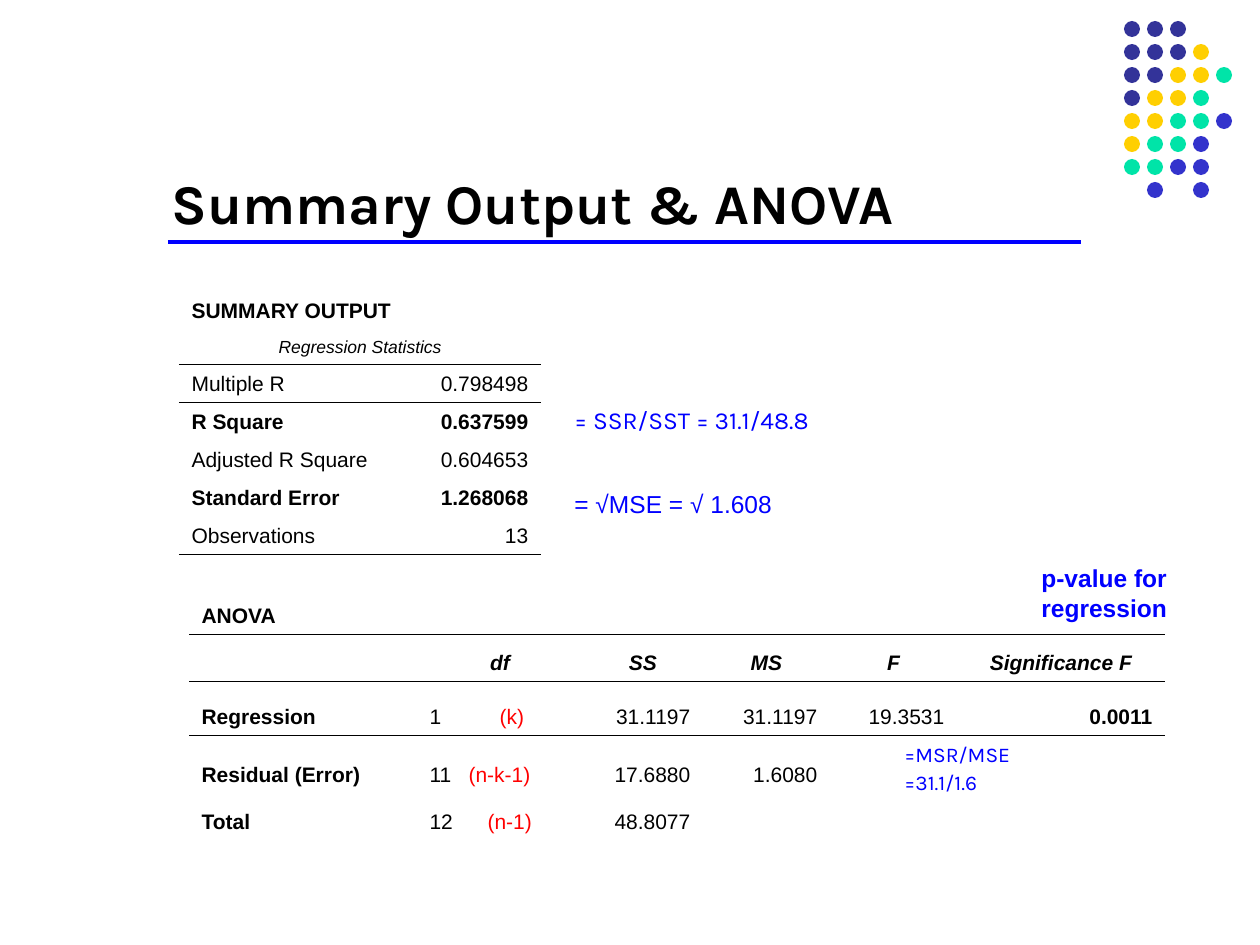
from dataclasses import dataclass

import lxml.etree
import pptx
import pptx.dml.color
import pptx.enum.shapes
import pptx.enum.text
import pptx.oxml.ns
import pptx.util

EMU_PER_PX = 914400 / 126
ALIGN = pptx.enum.text.PP_ALIGN
NO_STYLE_TABLE = "{2D5ABB26-0587-4C30-8999-92F81FD0307C}"


@dataclass(frozen=True)
class Theme:
    ink: str = "000000"
    accent: str = "0000FF"
    formula: str = "FF0000"
    navy: str = "333399"
    yellow: str = "FFCF01"
    green: str = "00E4A8"
    blue: str = "3333CC"
    body_font: str = "Arial"
    display_font: str = "Karla"
    title_size: int = 32
    note_size: int = 14
    body_size: int = 12
    caption_size: int = 10
    cell_rule: float = 0.45
    title_rule: float = 2.25


THEME = Theme()


@dataclass(frozen=True)
class Cell:
    text: str = ""
    align: ALIGN = ALIGN.LEFT
    bold: bool = False
    italic: bool = False
    size: int = THEME.body_size
    formula: str = ""
    formula_offset: int = 0


@dataclass(frozen=True)
class Grid:
    left: int
    top: int
    columns: tuple[int, ...]
    heights: tuple[int, ...]
    ruled_rows: tuple[int, ...]  # rows with a line beneath
    cells: list[list[Cell]]


@dataclass(frozen=True)
class Note:
    left: int
    top: int
    width: int
    height: int
    lines: tuple[str, ...]
    font: str = THEME.body_font
    size: int = THEME.note_size
    bold: bool = False
    wrap: bool = False
    gap: int = 0


def px(length: int) -> int:
    return round(length * EMU_PER_PX)


def rgb(color: str) -> pptx.dml.color.RGBColor:
    return pptx.dml.color.RGBColor.from_string(color)


def add_text(paragraph, text: str, *, size: int = THEME.body_size,
             font: str = THEME.body_font, color: str = THEME.ink,
             bold: bool = False, italic: bool = False, align=ALIGN.LEFT) -> None:
    paragraph.alignment = align
    run = paragraph.add_run()
    run.text = text
    run.font.size = pptx.util.Pt(size)
    run.font.name = font
    run.font.color.rgb = rgb(color)
    run.font.bold = bold
    run.font.italic = italic


def add_child(parent, tag: str, **attributes: str):
    return lxml.etree.SubElement(parent, pptx.oxml.ns.qn(tag), **attributes)


def add_dots(slide, pattern: tuple[str, ...]) -> None:
    left, top, pitch, diameter = 1124, 21, 23, 16
    colors = {"n": THEME.navy, "y": THEME.yellow, "g": THEME.green, "b": THEME.blue}
    for row, line in enumerate(pattern):
        for column, key in enumerate(line):
            if key not in colors:
                continue
            dot = slide.shapes.add_shape(
                pptx.enum.shapes.MSO_SHAPE.OVAL, px(left + column * pitch),
                px(top + row * pitch), px(diameter), px(diameter))
            dot.shadow.inherit = False
            dot.fill.solid()
            dot.fill.fore_color.rgb = rgb(colors[key])
            dot.line.fill.background()


def add_title(slide, text: str) -> None:
    rule = slide.shapes.add_connector(
        pptx.enum.shapes.MSO_CONNECTOR.STRAIGHT, px(168), px(242), px(1081), px(242))
    rule.line.color.rgb = rgb(THEME.accent)
    rule.line.width = pptx.util.Pt(THEME.title_rule)
    add_child(rule._element.spPr, "a:effectLst")
    title = slide.shapes.title
    title.left, title.top, title.width, title.height = px(159), px(84), px(1074), px(158)
    title.text_frame.vertical_anchor = pptx.enum.text.MSO_ANCHOR.BOTTOM
    title.text_frame.auto_size = pptx.enum.text.MSO_AUTO_SIZE.NONE
    add_text(title.text_frame.paragraphs[0], text, size=THEME.title_size,
             font=THEME.display_font, bold=True)


def add_border(cell, tag: str) -> None:
    line = add_child(cell._tc.get_or_add_tcPr(), tag,
                     w=str(pptx.util.Pt(THEME.cell_rule)))
    add_child(add_child(line, "a:solidFill"), "a:srgbClr", val=THEME.ink)


def fill_cell(cell, content: Cell) -> None:
    cell.vertical_anchor = pptx.enum.text.MSO_ANCHOR.BOTTOM
    paragraph = cell.text_frame.paragraphs[0]
    if not content.text:
        # An empty cell must not stretch its row.
        add_child(paragraph._p, "a:endParaRPr", sz=str(content.size * 100))
        return
    add_text(paragraph, content.text, size=content.size, bold=content.bold,
             italic=content.italic, align=content.align)
    if content.formula:
        add_text(paragraph, "\t" + content.formula, color=THEME.formula)
        stops = add_child(paragraph._p.get_or_add_pPr(), "a:tabLst")
        add_child(stops, "a:tab", pos=str(px(content.formula_offset)), algn="l")


def add_grid(slide, grid: Grid):
    table = slide.shapes.add_table(
        len(grid.heights), len(grid.columns), px(grid.left), px(grid.top),
        px(sum(grid.columns)), px(sum(grid.heights))).table
    table.first_row = table.horz_banding = False
    table._tbl.tblPr.find(pptx.oxml.ns.qn("a:tableStyleId")).text = NO_STYLE_TABLE
    for column, width in zip(table.columns, grid.columns):
        column.width = px(width)
    for row, height in enumerate(grid.heights):
        table.rows[row].height = px(height)
        for column in range(len(grid.columns)):
            cell = table.cell(row, column)
            contents = grid.cells[row]
            fill_cell(cell, contents[column] if column < len(contents) else Cell())
            if row - 1 in grid.ruled_rows:
                add_border(cell, "a:lnT")
            if row in grid.ruled_rows:
                add_border(cell, "a:lnB")
            cell.fill.background()
    return table


def add_note(slide, note: Note) -> None:
    frame = slide.shapes.add_textbox(
        px(note.left), px(note.top), px(note.width), px(note.height)).text_frame
    frame.word_wrap = note.wrap
    frame.auto_size = pptx.enum.text.MSO_AUTO_SIZE.SHAPE_TO_FIT_TEXT
    for index, line in enumerate(note.lines):
        paragraph = frame.add_paragraph() if index else frame.paragraphs[0]
        paragraph.space_before = pptx.util.Pt(note.gap if index else 0)
        add_text(paragraph, line, size=note.size, font=note.font,
                 color=THEME.accent, bold=note.bold)


def statistic(label: str, value: str, bold: bool = False) -> list[Cell]:
    return [Cell(label, bold=bold), Cell(value, ALIGN.RIGHT, bold)]


def source(label: str, df: str, formula: str, offset: int, *values: str) -> list[Cell]:
    return [Cell(label, bold=True), Cell(df, formula=formula, formula_offset=offset),
            *(Cell(value, ALIGN.RIGHT) for value in values)]


DOTS = ("nnn", "nnny", "nnyyg", "nyyg", "yyggb", "yggb", "ggbb", ".b.b")
SUMMARY = Grid(179, 262, (231, 131), (67, 35, 38, 38, 38, 38, 38), (1, 6), [
    [Cell("SUMMARY OUTPUT", bold=True)],
    [Cell("Regression Statistics", ALIGN.CENTER, italic=True, size=THEME.caption_size)],
    statistic("Multiple R", "0.798498"),
    statistic("R Square", "0.637599", bold=True),
    statistic("Adjusted R Square", "0.604653"),
    statistic("Standard Error", "1.268068", bold=True),
    statistic("Observations", "13"),
])
ANOVA = Grid(189, 546, (228, 166, 120, 127, 127, 208), (88, 47, 54, 58, 47), (0, 1), [
    [Cell("ANOVA", bold=True)],
    [Cell()] + [Cell(heading, ALIGN.CENTER, True, True)
                for heading in ("df", "SS", "MS", "F", "Significance F")],
    source("Regression", "1", "(k)", 70, "31.1197", "31.1197", "19.3531")
    + [Cell("0.0011", ALIGN.RIGHT, True)],
    source("Residual (Error)", "11", "(n-k-1)", 39, "17.6880", "1.6080"),
    source("Total", "12", "(n-1)", 58, "48.8077"),
])
NOTES = (
    Note(562, 399, 271, 43, ("= SSR/SST = 31.1/48.8",), THEME.display_font),
    Note(562, 483, 223, 43, ("= √MSE = √ 1.608",)),
    Note(892, 735, 147, 68, ("=MSR/MSE", "=31.1/1.6"), THEME.display_font,
         THEME.body_size, wrap=True, gap=2),
    Note(1029, 557, 180, 72, ("p-value for", "regression"), bold=True, wrap=True),
)


def main() -> None:
    presentation = pptx.Presentation()
    presentation.slide_width, presentation.slide_height = px(1260), px(945)
    slide = presentation.slides.add_slide(presentation.slide_layouts[5])
    # Decoration and title
    add_dots(slide, DOTS)
    add_title(slide, "Summary Output & ANOVA")
    # Regression tables
    summary = add_grid(slide, SUMMARY)
    summary.cell(1, 0).merge(summary.cell(1, 1))
    add_grid(slide, ANOVA)
    # Explanations beside the figures
    for note in NOTES:
        add_note(slide, note)
    presentation.save("out.pptx")


if __name__ == "__main__":
    main()
